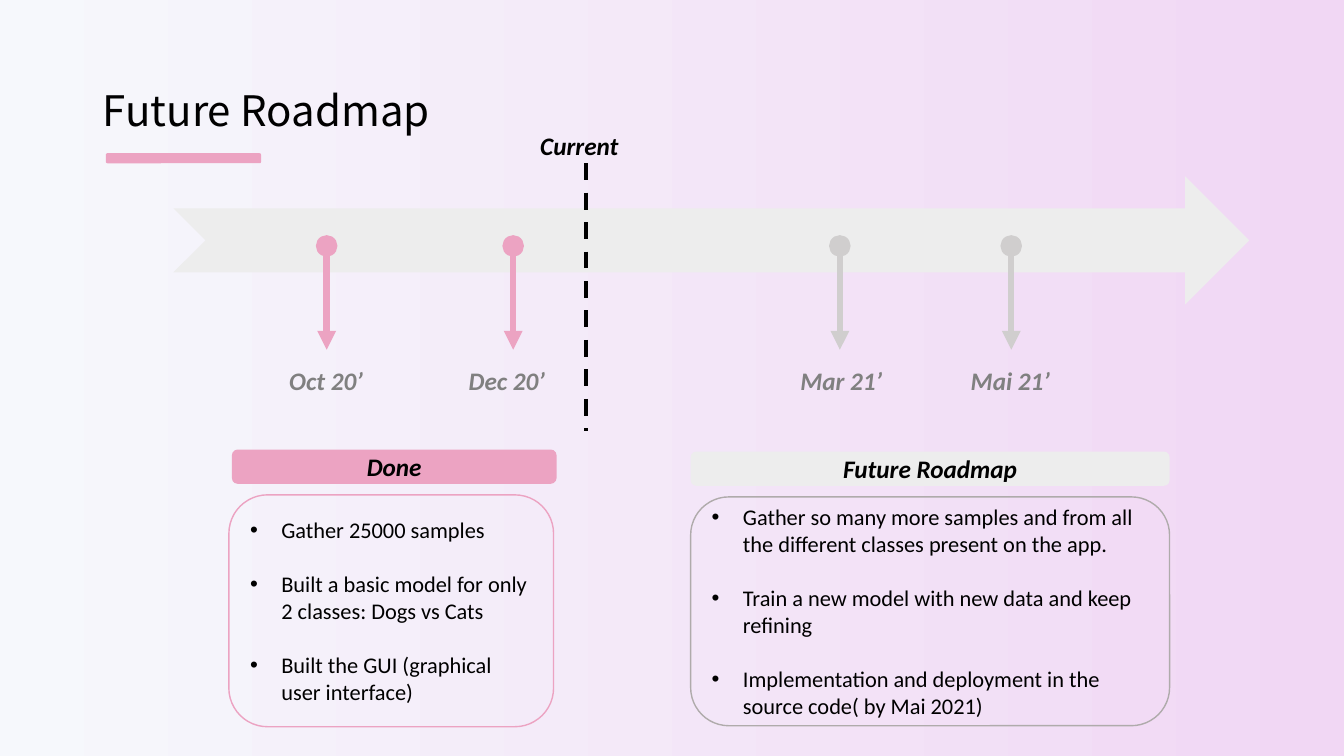
from lxml.etree import SubElement
from pptx import Presentation
from pptx.dml.color import RGBColor
from pptx.enum.dml import MSO_LINE
from pptx.enum.shapes import MSO_CONNECTOR, MSO_SHAPE
from pptx.enum.text import MSO_ANCHOR, PP_ALIGN
from pptx.oxml.ns import qn
from pptx.util import Inches, Pt

PINK = RGBColor(0xEC, 0xA3, 0xC2)
PALE_GRAY = RGBColor(0xED, 0xED, 0xED)
MARKER_GRAY = RGBColor(0xD0, 0xCE, 0xCE)
OUTLINE_GRAY = RGBColor(0xAF, 0xAB, 0xAB)
DATE_GRAY = RGBColor(0x80, 0x80, 0x80)
BLACK = RGBColor(0, 0, 0)
BG_LEFT = RGBColor(0xF6, 0xF8, 0xFC)
BG_RIGHT = RGBColor(0xF1, 0xD7, 0xF4)

MILESTONES = [
    # marker centre, label left, label width, date, colour
    (3.24, 2.77, 1.1, "Oct 20’", PINK),
    (5.09, 4.55, 1.1, "Dec 20’", PINK),
    (8.33, 7.84, 1.13, "Mar 21’", MARKER_GRAY),
    (10.03, 9.53, 1.0, "Mai 21’", MARKER_GRAY),
]
DONE = [
    "Gather 25000 samples",
    "Built a basic model for only 2 classes: Dogs vs Cats",
    "Built the GUI (graphical user interface)",
]
FUTURE = [
    "Gather so many more samples and from all the different classes present on the app.",
    "Train a new model with new data and keep refining",
    "Implementation and deployment in the source code( by Mai 2021)",
]


def write(frame, paragraphs, size=18, color=BLACK, font="Calibri", strong=False,
          align=PP_ALIGN.LEFT, anchor=MSO_ANCHOR.TOP, bullets=False, gap=0, spacing=None):
    """Fill a text frame; strong means bold italic, gap is points between paragraphs."""
    frame.word_wrap = True
    frame.vertical_anchor = anchor
    for index, text in enumerate(paragraphs):
        paragraph = frame.paragraphs[0] if index == 0 else frame.add_paragraph()
        if index and gap:
            paragraph.space_before = Pt(gap)
        if spacing:
            paragraph.line_spacing = spacing
        paragraph.alignment = align
        if bullets:
            properties = paragraph._p.get_or_add_pPr()
            properties.set("marL", str(Inches(0.31)))
            properties.set("indent", str(Inches(-0.31)))
            SubElement(properties, qn("a:buFont")).set("typeface", "Arial")
            SubElement(properties, qn("a:buChar")).set("char", "•")
        run = paragraph.add_run()
        run.text = text
        run.font.name = font
        run.font.size = Pt(size)
        run.font.color.rgb = color
        run.font.bold = run.font.italic = strong
        if font != "Calibri":
            SubElement(run._r.get_or_add_rPr(), qn("a:ea")).set("typeface", font)


def add_label(slide, left, top, width, text, **style):
    label = slide.shapes.add_textbox(Inches(left), Inches(top), Inches(width), Inches(0.4))
    write(label.text_frame, [text], strong=True, **style)


def add_block(slide, kind, left, top, width, height, fill=None, outline=None):
    block = slide.shapes.add_shape(kind, Inches(left), Inches(top), Inches(width), Inches(height))
    block.shadow.inherit = False
    if fill is None:
        block.fill.background()
    else:
        block.fill.solid()
        block.fill.fore_color.rgb = fill
    if outline is None:
        block.line.fill.background()
    else:
        block.line.color.rgb = outline
        block.line.width = Pt(1)
    return block


def add_vertical(slide, x, top, bottom, color, width, dashed=False, arrow=False):
    stroke = slide.shapes.add_connector(
        MSO_CONNECTOR.STRAIGHT, Inches(x), Inches(top), Inches(x), Inches(bottom))
    stroke.line.color.rgb = color
    stroke.line.width = Pt(width)
    if dashed:
        stroke.line.dash_style = MSO_LINE.DASH
    if arrow:
        SubElement(stroke.line._get_or_add_ln(), qn("a:tailEnd")).set("type", "triangle")
    SubElement(stroke._element.spPr, qn("a:effectLst"))


def paint_background(slide):
    fill = slide.background.fill
    fill.gradient()
    fill.gradient_angle = 0
    for stop, color, position in zip(fill.gradient_stops, (BG_LEFT, BG_RIGHT), (0, 1)):
        stop.color.rgb = color
        stop.position = position


def add_heading(slide, left, top, width, height):
    title = slide.shapes.title
    title.left, title.top = Inches(left), Inches(top)
    title.width, title.height = Inches(width), Inches(height)
    write(title.text_frame, ["Future Roadmap"], size=30, font="Noto Sans CJK JP",
          anchor=MSO_ANCHOR.MIDDLE, spacing=0.9)
    add_block(slide, MSO_SHAPE.ROUNDED_RECTANGLE, left + 0.13, top + 1.12, 1.54, 0.1, fill=PINK)


def add_timeline(slide, left, top, width, height):
    add_block(slide, MSO_SHAPE.NOTCHED_RIGHT_ARROW, left, top, width, height, fill=PALE_GRAY)
    dot = 0.2
    center = top + 0.69
    for x, label_left, label_width, date, color in MILESTONES:
        add_block(slide, MSO_SHAPE.OVAL, x - dot / 2, center - dot / 2, dot, dot,
                  fill=color, outline=color)
        add_vertical(slide, x, center, center + 1.03, color, 4.5, arrow=True)
        add_label(slide, label_left, top + 1.83, label_width, date, color=DATE_GRAY)
    add_vertical(slide, left + 4.09, top - 0.13, top + 2.53, BLACK, 3, dashed=True)
    add_label(slide, left + 3.54, top - 0.51, 1.1, "Current")


def add_panel(slide, left, top, width, height, heading, items, fill, outline, shift=0):
    """Heading bar above an outlined list; shift moves the list sideways."""
    bar = add_block(slide, MSO_SHAPE.ROUNDED_RECTANGLE, left, top, width, 0.34, fill=fill)
    write(bar.text_frame, [heading], strong=True, align=PP_ALIGN.CENTER,
          anchor=MSO_ANCHOR.MIDDLE)
    card = add_block(slide, MSO_SHAPE.ROUNDED_RECTANGLE, left + shift, top + 0.45,
                     width, height - 0.45, outline=outline)
    write(card.text_frame, items, size=16, anchor=MSO_ANCHOR.MIDDLE, bullets=True, gap=19.5)


def main():
    deck = Presentation()
    deck.slide_width, deck.slide_height = Inches(13.33), Inches(7.5)
    slide = deck.slides.add_slide(deck.slide_layouts[5])
    paint_background(slide)
    add_timeline(slide, 1.72, 1.75, 10.67, 1.27)
    add_panel(slide, 2.3, 4.46, 3.22, 2.75, "Done", DONE, PINK, PINK, shift=-0.03)
    add_panel(slide, 6.85, 4.48, 4.75, 2.72, "Future Roadmap", FUTURE, PALE_GRAY, OUTLINE_GRAY)
    add_heading(slide, 0.92, 0.4, 11.5, 1.45)
    deck.save("out.pptx")


if __name__ == "__main__":
    main()
